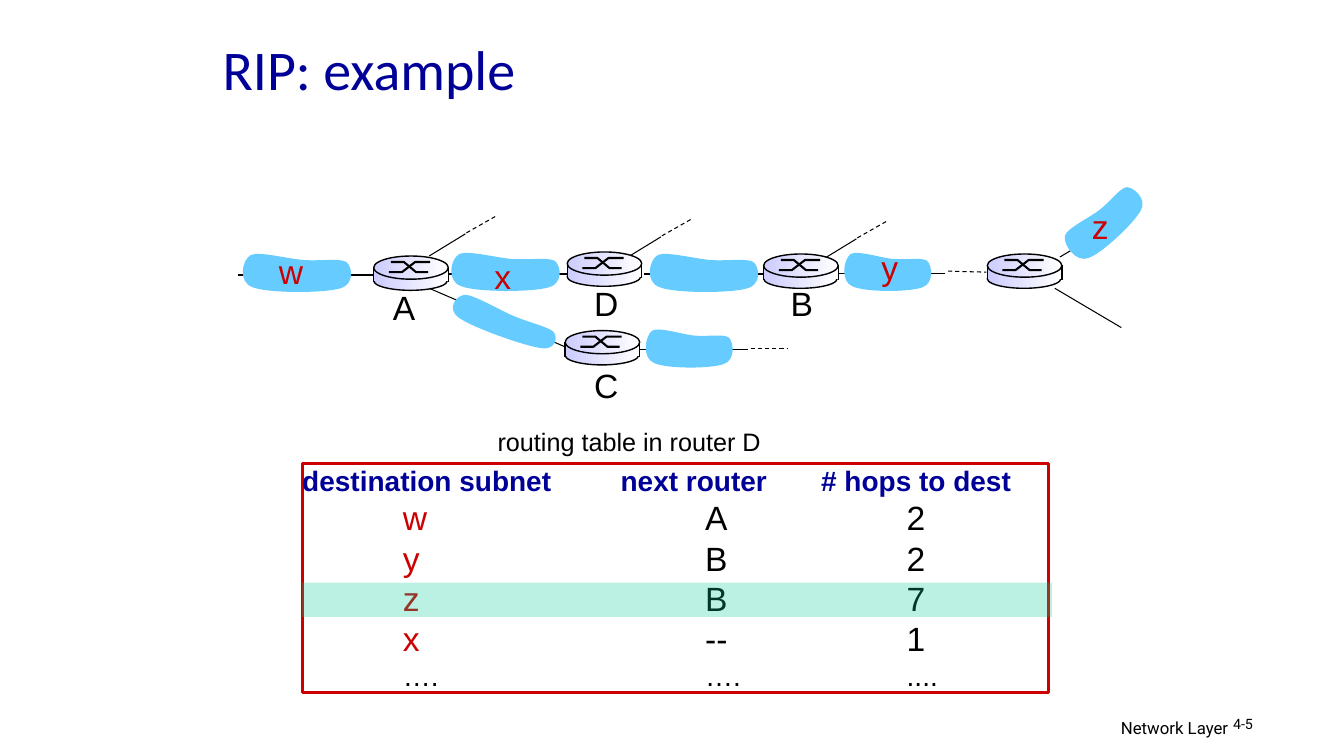
from lxml import etree
from pptx import Presentation, util as u
from pptx.dml.color import RGBColor
from pptx.enum import dml, shapes, text
from pptx.oxml.ns import qn

PX = 9144  # 100 px to the inch
COLORS = {"ink": "000000", "navy": "000099", "red": "CC0000", "sky": "66CCFF",
          "lilac": "CCCCFF", "white": "FFFFFF", "mint": "00CC99"}
RGB = {name: RGBColor.from_string(value) for name, value in COLORS.items()}


def put_text(p, words, size=24, color="ink", font="Arial", bold=False,
             align=text.PP_ALIGN.LEFT):
    p.alignment = align
    r = p.add_run()
    r.text = words
    r.font.size, r.font.name, r.font.bold = u.Pt(size), font, bold
    r.font.color.rgb = RGB[color]


def add_line(parent, x1, y1, x2, y2, width=0.75, dash=False):
    c = parent.add_connector(shapes.MSO_CONNECTOR.STRAIGHT,
                             x1 * PX, y1 * PX, x2 * PX, y2 * PX)
    c.line.color.rgb, c.line.width = RGB["ink"], u.Pt(width)
    if dash:
        c.line.dash_style = dml.MSO_LINE.DASH
    etree.SubElement(c._element.spPr, qn("a:effectLst"))


prs = Presentation()
prs.slide_width, prs.slide_height = 1334 * PX, 750 * PX
s = prs.slides.add_slide(prs.slide_layouts[5])

title = s.shapes.title
title.left, title.top, title.width, title.height = [v * PX for v in (211, 21, 431, 94)]
title.text_frame.vertical_anchor = text.MSO_ANCHOR.MIDDLE
put_text(title.text_frame.paragraphs[0], "RIP: example", size=40, color="navy",
         font="Calibri")

# Routing table: one framed text with tab stops
ROWS = [("w", "A", "2"), ("y", "B", "2"), ("z", "B", "7"), ("x", "--", "1")]
HEADER = {"size": 20, "color": "navy", "bold": True}
ENTRY_STOPS = (100, 400, 600)
lines = [((316, 515), 20, [("destination subnet\tnext router\t# hops to dest", HEADER)])]
for subnet, hop, count in ROWS:
    lines.append((ENTRY_STOPS, 24, [("\t" + subnet, {"color": "red"}),
                                    (f"\t{hop}\t{count}", {})]))
lines.append((ENTRY_STOPS, 20, [("\t….\t….\t....", {"size": 20})]))

frame = s.shapes.add_shape(shapes.MSO_SHAPE.RECTANGLE,
                           300 * PX, 460 * PX, 741 * PX, 227 * PX)
frame.shadow.inherit = False
frame.fill.background()
frame.line.color.rgb, frame.line.width = RGB["red"], u.Pt(2.25)
tf = frame.text_frame
tf.margin_left = tf.margin_right = tf.margin_top = tf.margin_bottom = 0
tf.vertical_anchor = text.MSO_ANCHOR.TOP
for i, (stops, size, runs) in enumerate(lines):
    p = tf.add_paragraph() if i else tf.paragraphs[0]
    tabs = etree.SubElement(p._p.get_or_add_pPr(), qn("a:tabLst"))
    for stop in stops:
        etree.SubElement(tabs, qn("a:tab"), pos=str(stop * PX), algn="l")
    p.line_spacing = u.Pt(size * 1.2)
    for words, fmt in runs:
        put_text(p, words, **fmt)

# Links between routers and subnets
for link in [(443, 272, 579, 272), (639, 272, 775, 272), (236, 273, 372, 273)]:
    add_line(s.shapes, *link, width=1)
for link in [(831, 271, 938, 271), (1052, 255, 1118, 216), (1047, 286, 1113, 325),
             (426, 286, 563, 345), (635, 347, 742, 347)]:
    add_line(s.shapes, *link)
for link in [(941, 269, 979, 270), (745, 346, 782, 346)]:
    add_line(s.shapes, *link, dash=True)
for x, y in [(426, 254), (620, 257), (814, 259)]:
    add_line(s.shapes, x, y, x + 36, y - 22)
    add_line(s.shapes, x + 37, y - 23, x + 67, y - 40, dash=True)

# Subnets: one closed Bezier outline in a 116 x 42 box, stretched to each place
OUTLINE = [(66, 9), (51, 8), (21, 0), (13, 4), (4, 9), (0, 31), (15, 36),
           (30, 42), (86, 42), (102, 37), (116, 33), (114, 16), (108, 11),
           (102, 7), (82, 10), (66, 9)]
for x, y, w, h, angle in [(443, 248, 116, 42, 0), (442, 304, 116, 31, 19.7),
                          (236, 249, 116, 42, 0), (640, 249, 116, 42, 0),
                          (834, 248, 93, 42, 0), (1048, 200, 95, 42, 316.8),
                          (637, 324, 93, 42, 0)]:
    pts = [((x + a * w / 116) * PX, (y + b * h / 42) * PX) for a, b in OUTLINE]
    fb = s.shapes.build_freeform(*pts[0])
    fb.add_line_segments(pts[1:], close=True)
    blob = fb.convert_to_shape()
    segments = list(blob._element.iter(qn("a:lnTo")))
    for i in range(0, len(OUTLINE) - 1, 3):
        curve = etree.Element(qn("a:cubicBezTo"))
        segments[i].addprevious(curve)
        for segment in segments[i:i + 3]:
            curve.append(segment[0])
    for segment in segments:
        segment.getparent().remove(segment)
    blob.rotation = angle
    blob.shadow.inherit = False
    blob.fill.solid()
    blob.fill.fore_color.rgb = RGB["sky"]
    blob.line.fill.background()

# Labels, caption and footer
SUBNET = {"color": "red"}
FOOTER = {"font": "Roboto"}
for words, x, y, w, h, fmt in [
        ("w", 267, 244, 44, 50, SUBNET), ("x", 481, 249, 36, 50, SUBNET),
        ("y", 865, 240, 36, 50, SUBNET), ("z", 1074, 199, 36, 50, SUBNET),
        ("A", 380, 280, 42, 50, {}), ("C", 580, 357, 44, 50, {}),
        ("D", 580, 276, 44, 50, {}), ("B", 775, 276, 42, 50, {}),
        ("routing table in router D", 484, 418, 281, 40, {"size": 18}),
        ("Network Layer", 807, 707, 422, 31,
         {"size": 12, "align": text.PP_ALIGN.RIGHT, **FOOTER}),
        ("4-5", 1214, 705, 99, 30, {"size": 10.2, **FOOTER})]:
    tf = s.shapes.add_textbox(x * PX, y * PX, w * PX, h * PX).text_frame
    tf.word_wrap = fmt.get("font") == "Roboto"
    put_text(tf.paragraphs[0], words, **fmt)

highlight = s.shapes.add_shape(shapes.MSO_SHAPE.RECTANGLE,
                               300 * PX, 578 * PX, 744 * PX, 34 * PX)
highlight.shadow.inherit = False
highlight.line.fill.background()
highlight.fill.solid()
highlight.fill.fore_color.rgb = RGB["mint"]
mint = highlight._element.spPr.find(".//" + qn("a:srgbClr"))
etree.SubElement(mint, qn("a:alpha"), val="27000")

# Routers
for x, y in [(563, 250), (758, 252), (980, 252), (561, 328), (371, 254)]:
    router = s.shapes.add_group_shape().shapes
    for kind, dy, w, h in [("OVAL", 15, 73, 19), ("RECTANGLE", 13, 74, 12),
                           ("OVAL", 0, 74, 23)]:
        sp = router.add_shape(shapes.MSO_SHAPE[kind], x * PX, (y + dy) * PX, w * PX, h * PX)
        sp.shadow.inherit = False
        sp.fill.gradient()
        sp.fill.gradient_angle = 0
        for stop, color in zip(sp.fill.gradient_stops, ("lilac", "white")):
            stop.color.rgb = RGB[color]
        if kind == "OVAL":
            sp.line.color.rgb, sp.line.width = RGB["ink"], u.Pt(1)
        else:
            sp.line.fill.background()
    for arm in [[(15, 16), (28, 16), (41, 6), (56, 6)],
                [(17, 6), (30, 6), (42, 16), (54, 16)]]:
        pts = [((x + a) * PX, (y + b) * PX) for a, b in arm]
        fb = router.build_freeform(*pts[0])
        fb.add_line_segments(pts[1:], close=False)
        sp = fb.convert_to_shape()
        sp.shadow.inherit = False
        sp.fill.background()
        sp.line.color.rgb, sp.line.width = RGB["ink"], u.Pt(1.5)
    for side in (x, x + 74):
        add_line(router, side, y + 11, side, y + 26, width=1)

prs.save("out.pptx")
